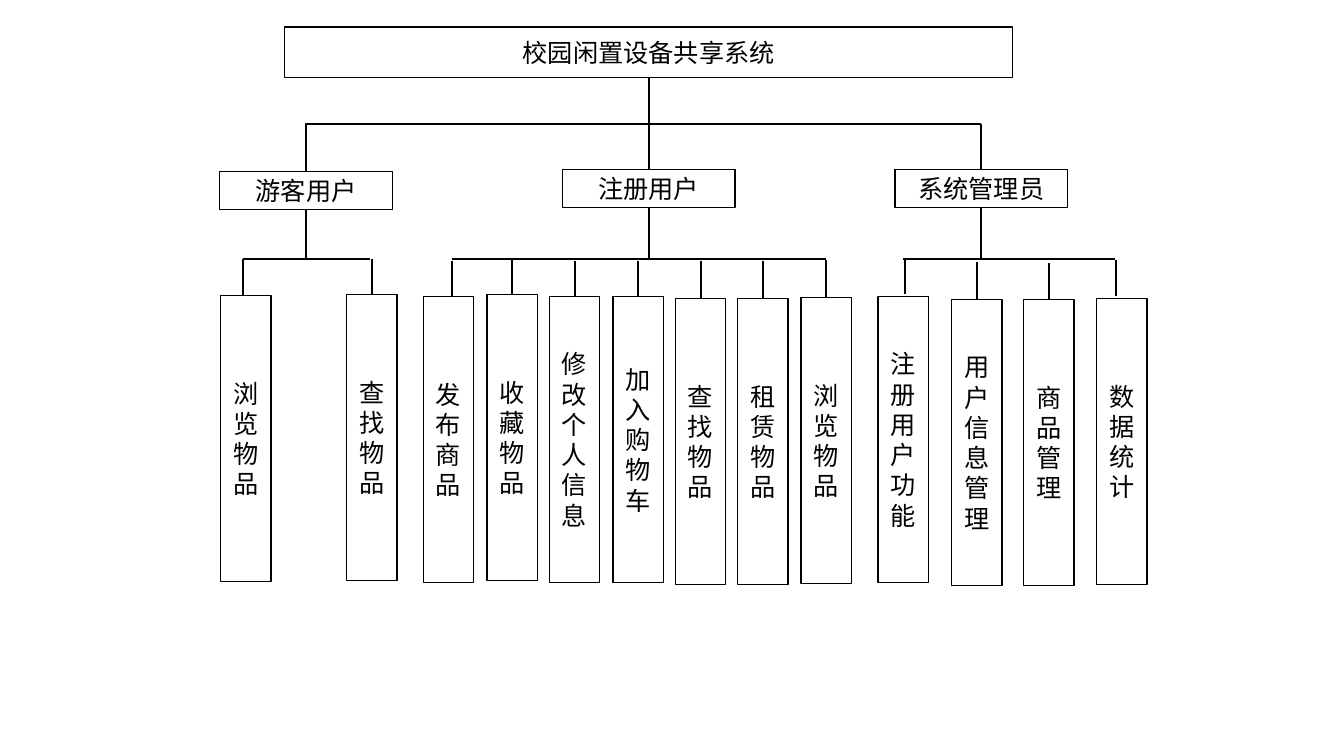
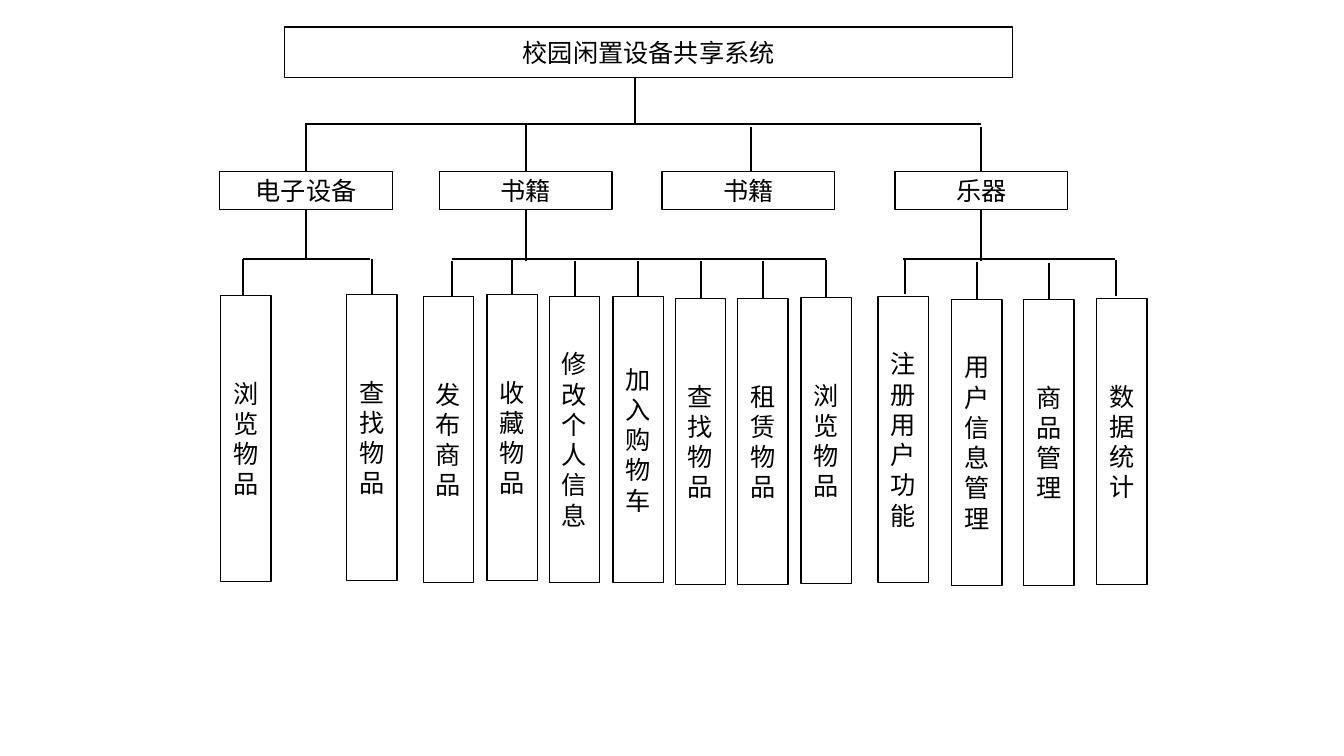
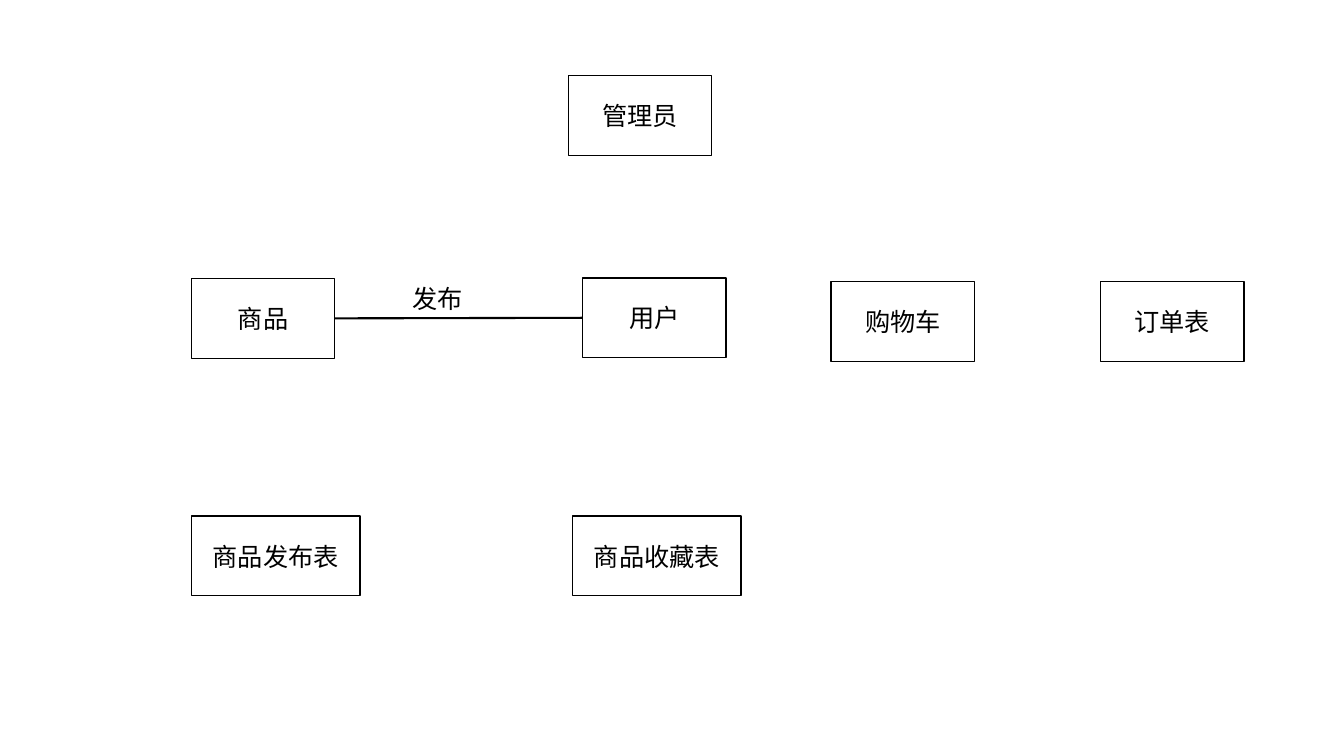
from dataclasses import dataclass
from typing import Optional

from lxml.etree import SubElement
from pptx import Presentation
from pptx.dml.color import RGBColor
from pptx.enum.shapes import MSO_CONNECTOR, MSO_SHAPE
from pptx.enum.text import MSO_ANCHOR, MSO_AUTO_SIZE, PP_ALIGN
from pptx.oxml.ns import qn
from pptx.shapes.autoshape import Shape
from pptx.shapes.connector import Connector
from pptx.slide import Slide
from pptx.util import Pt

COLORS = {"paper": "FFFFFF", "ink": "000000"}
FONT = "Noto Sans CJK SC"
TEXT_SIZE = 18
TOP, LEFT, BOTTOM, RIGHT = range(4)

SYSTEM_TITLE = "校园闲置设备共享系统"
ROLE_WIDTH, ROLE_HEIGHT = 123.2, 27.4
FUNCTION_WIDTH, FUNCTION_HEIGHT = 36, 204.5
ROLE_RAIL_Y, FUNCTION_RAIL_Y = 88.6, 185
ENTITY_HEIGHT = 57


@dataclass(frozen=True)
class Role:
    label: str
    left: float
    top: float
    drop_top: Optional[float] = ROLE_RAIL_Y
    drop_x: Optional[float] = None
    stem_bottom: Optional[float] = FUNCTION_RAIL_Y


@dataclass(frozen=True)
class Function:
    label: str
    left: float
    top: float
    drop_top: float
    drop_x: Optional[float] = None
    drop_bottom: Optional[float] = None


@dataclass(frozen=True)
class Entity:
    label: str
    left: float
    top: float
    width: float = 102.4


USER_ROLES = [
    Role("游客用户", 157, 122.4),
    Role("注册用户", 401.8, 121, drop_top=None),
    Role("系统管理员", 639.4, 121),
]
DEVICE_CATEGORIES = [
    Role("电子设备", 157, 122.4),
    Role("书籍", 313.9, 122.4, stem_bottom=186.5),
    Role("书籍", 473, 122.4, drop_top=90.7, drop_x=536.4, stem_bottom=None),
    Role("乐器", 639.4, 122.4, drop_top=90.7, stem_bottom=186.5),
]
FUNCTIONS = [
    Function("浏览物品", 157.7, 211, 185, 173.5, 211),
    Function("查找物品", 247.7, 210.2, 185),
    Function("发布商品", 302.4, 211.7, 186.5, 322.6, 211.7),
    Function("收藏物品", 347.8, 210.2, 185),
    Function("修改个人信息", 392.4, 211.7, 186.5),
    Function("加入购物车", 437.8, 211.7, 186.5),
    Function("查找物品", 482.4, 213.1, 186.5),
    Function("租赁物品", 527, 213.1, 186.5),
    Function("浏览物品", 572.2, 212.4, 185.8),
    Function("注册用户功能", 627.1, 211.7, 185, 646.6, 210.2),
    Function("用户信息管理", 679.7, 213.8, 187.2),
    Function("商品管理", 731.3, 213.8, 187.9),
    Function("数据统计", 783.4, 213.1, 185.8, 797, 211.7),
]
FUNCTION_RAILS = [(173.5, 264.2), (322.6, 589.7), (645.1, 796.3)]

PRODUCT = Entity("商品", 136.8, 198.9)
USER = Entity("用户", 416.2, 198.5)
ENTITIES = [
    Entity("管理员", 406.1, 54),
    USER,
    PRODUCT,
    Entity("商品发布表", 136.8, 368.6, 120.4),
    Entity("商品收藏表", 409, 368.6, 120.4),
    Entity("订单表", 786.2, 201.3),
    Entity("购物车", 593.7, 201.3),
]


def write_label(shape: Shape, text: str, align: PP_ALIGN) -> None:
    frame = shape.text_frame
    frame.word_wrap = True
    frame.text = text
    paragraph = frame.paragraphs[0]
    paragraph.alignment = align
    font = paragraph.runs[0].font
    font.size = Pt(TEXT_SIZE)
    font.name = FONT
    font.color.rgb = RGBColor.from_string(COLORS["ink"])
    SubElement(paragraph.runs[0]._r.get_or_add_rPr(), qn("a:ea"), typeface=FONT)


def add_box(slide: Slide, label: str, left: float, top: float, width: float,
            height: float, preset: MSO_SHAPE = MSO_SHAPE.RECTANGLE) -> Shape:
    box = slide.shapes.add_shape(preset, Pt(left), Pt(top), Pt(width), Pt(height))
    box.shadow.inherit = False
    box.fill.solid()
    box.fill.fore_color.rgb = RGBColor.from_string(COLORS["paper"])
    box.line.color.rgb = RGBColor.from_string(COLORS["ink"])
    box.line.width = Pt(1)
    box.text_frame.vertical_anchor = MSO_ANCHOR.MIDDLE
    write_label(box, label, PP_ALIGN.CENTER)
    return box


def add_line(slide: Slide, x1: float, y1: float, x2: float, y2: float) -> Connector:
    line = slide.shapes.add_connector(MSO_CONNECTOR.STRAIGHT, Pt(x1), Pt(y1), Pt(x2), Pt(y2))
    line.line.color.rgb = RGBColor.from_string(COLORS["ink"])
    line.line.width = Pt(1.5)
    SubElement(line._element.spPr, qn("a:effectLst"))
    return line


def add_role(slide: Slide, role: Role) -> Shape:
    box = add_box(slide, role.label, role.left, role.top, ROLE_WIDTH, ROLE_HEIGHT,
                  MSO_SHAPE.FLOWCHART_PROCESS)
    center = role.left + ROLE_WIDTH / 2
    if role.drop_top is not None:
        x = center if role.drop_x is None else role.drop_x
        drop = add_line(slide, x, role.drop_top, x, role.top)
        if role.drop_x is None:
            drop.end_connect(box, TOP)
    if role.stem_bottom is not None:
        stem = add_line(slide, center, role.top + ROLE_HEIGHT, center, role.stem_bottom)
        stem.begin_connect(box, BOTTOM)
    return box


def add_function(slide: Slide, function: Function) -> None:
    box = add_box(slide, function.label, function.left, function.top,
                  FUNCTION_WIDTH, FUNCTION_HEIGHT)
    if function.drop_x is None:
        center = function.left + FUNCTION_WIDTH / 2
        drop = add_line(slide, center, function.drop_top, center, function.top)
        drop.end_connect(box, TOP)
    else:
        add_line(slide, function.drop_x, function.drop_top,
                 function.drop_x, function.drop_bottom)


def add_function_tree(slide: Slide, roles: list[Role]) -> tuple[Shape, list[Shape]]:
    system = add_box(slide, SYSTEM_TITLE, 203.4, 19.4, 520, 36, MSO_SHAPE.FLOWCHART_PROCESS)
    add_line(slide, 218.2, ROLE_RAIL_Y, 700.6, ROLE_RAIL_Y)
    role_boxes = [add_role(slide, role) for role in roles]
    for start, end in FUNCTION_RAILS:
        add_line(slide, start, FUNCTION_RAIL_Y, end, FUNCTION_RAIL_Y)
    for function in FUNCTIONS:
        add_function(slide, function)
    return system, role_boxes


def build_user_functions(slide: Slide) -> None:
    system, (_, registered_user, _) = add_function_tree(slide, USER_ROLES)
    trunk = add_line(slide, 463.4, 55.4, 463.4, 121)
    trunk.begin_connect(system, BOTTOM)
    trunk.end_connect(registered_user, TOP)


def build_device_functions(slide: Slide) -> None:
    add_function_tree(slide, DEVICE_CATEGORIES)
    add_line(slide, 453.6, 55.4, 453.6, ROLE_RAIL_Y)


def build_entities(slide: Slide) -> None:
    boxes = {
        entity: add_box(slide, entity.label, entity.left, entity.top, entity.width, ENTITY_HEIGHT)
        for entity in ENTITIES
    }
    publishing = add_line(slide, USER.left, USER.top + ENTITY_HEIGHT / 2,
                          PRODUCT.left + PRODUCT.width, PRODUCT.top + ENTITY_HEIGHT / 2)
    publishing.begin_connect(boxes[USER], LEFT)
    publishing.end_connect(boxes[PRODUCT], RIGHT)
    publishing_label = slide.shapes.add_textbox(Pt(287.3), Pt(198.7), Pt(73.4), Pt(29))
    write_label(publishing_label, "发布", PP_ALIGN.LEFT)
    publishing_label.text_frame.auto_size = MSO_AUTO_SIZE.SHAPE_TO_FIT_TEXT


def main() -> None:
    presentation = Presentation()
    presentation.slide_width, presentation.slide_height = Pt(960), Pt(540)
    blank = presentation.slide_layouts[6]
    for build in (build_user_functions, build_device_functions, build_entities):
        build(presentation.slides.add_slide(blank))
    presentation.save("out.pptx")


if __name__ == "__main__":
    main()
